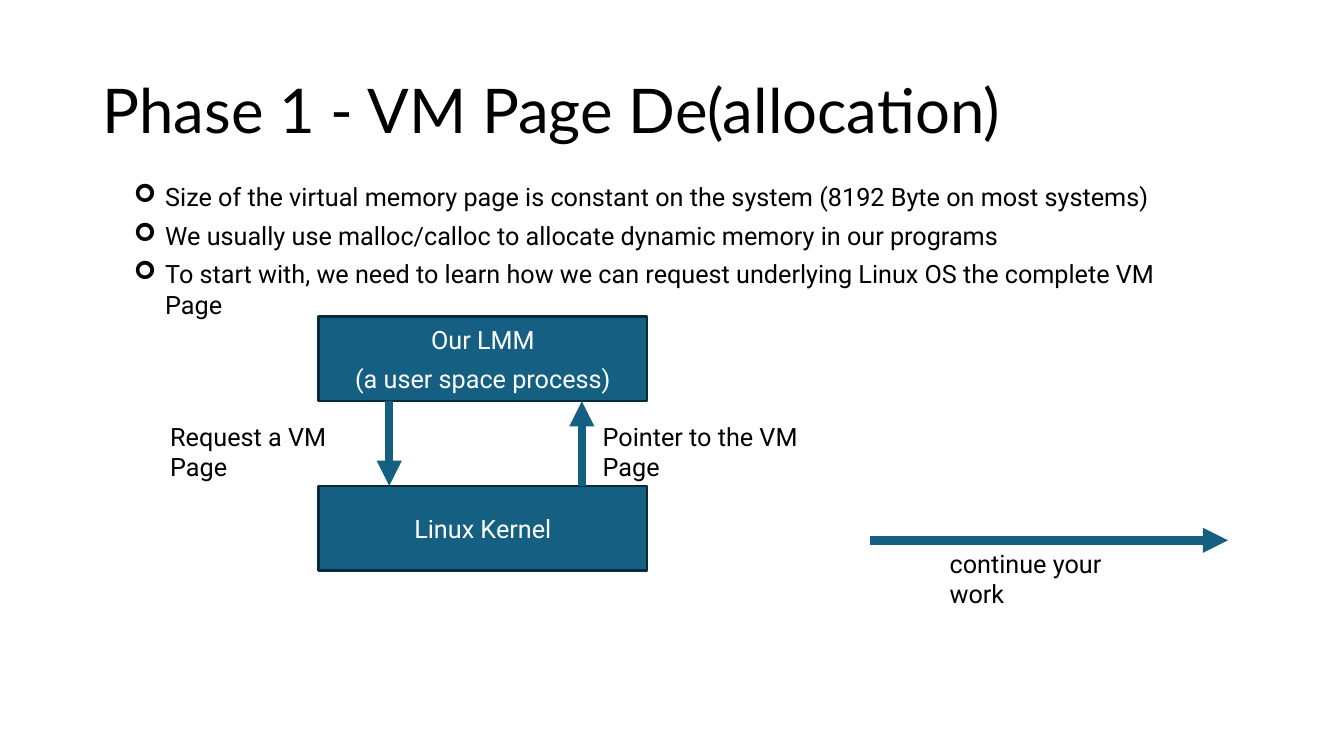
from lxml import etree
from pptx import Presentation
from pptx import util as u
from pptx.dml.color import RGBColor
from pptx.enum import shapes, text
from pptx.oxml.ns import qn

WIDE, HIGH = u.Inches(13.33), u.Inches(7.5)
HUES = {"ink": "000000", "blue": "156082", "edge": "092A39", "pale": "FFFFFF"}

# Diagram grid, in percent of the slide: boxes and the gap are one row each
LEFT, SPAN = 23.7, 24.46
TOP, ROW = 41.87, 11.2
ROWS = [TOP + ROW * i for i in range(4)]
NOTE_TOP, NOTE_HIGH = 55.07, 5.33

POINTS = [
    "Size of the virtual memory page is constant on the system (8192 Byte on most systems)",
    "We usually use malloc/calloc to allocate dynamic memory in our programs",
    "To start with, we need to learn how we can request underlying Linux OS the complete VM Page",
]


def hue(name):
    return RGBColor.from_string(HUES[name])


def place(x, y, w, h):
    """Turn percent of the slide into lengths."""
    return [int(side * part / 100)
            for side, part in zip((WIDE, HIGH, WIDE, HIGH), (x, y, w, h))]


def mark(para):
    """Give a paragraph an arrow bullet with a hanging indent."""
    props = para._p.get_or_add_pPr()
    props.set("marL", str(u.Inches(0.31)))
    props.set("indent", str(-u.Inches(0.31)))
    etree.SubElement(props, qn("a:buFont")).set("typeface", "Wingdings")
    etree.SubElement(props, qn("a:buChar")).set("char", "➢")


def write(frame, lines, size=18, face="Roboto", tint="ink", after=6):
    frame.word_wrap = True
    frame.text = "\n".join(lines)
    for para in frame.paragraphs:
        para.space_after = u.Pt(after)
        for run in para.runs:
            run.font.size = u.Pt(size)
            run.font.name = face
            run.font.color.rgb = hue(tint)


def note(slide, spot, lines, **look):
    frame = slide.shapes.add_textbox(*place(*spot)).text_frame
    write(frame, lines, **look)
    return frame


def label(slide, x, y, w, line, after=6):
    frame = note(slide, (x, y, w, NOTE_HIGH), [line], after=after)
    frame.auto_size = text.MSO_AUTO_SIZE.SHAPE_TO_FIT_TEXT


def box(slide, y, lines):
    rect = slide.shapes.add_shape(shapes.MSO_SHAPE.RECTANGLE,
                                  *place(LEFT, y, SPAN, ROW))
    rect.shadow.inherit = False
    rect.fill.solid()
    rect.fill.fore_color.rgb = hue("blue")
    rect.line.color.rgb = hue("edge")
    rect.line.width = u.Pt(1.5)
    write(rect.text_frame, lines, tint="pale")
    rect.text_frame.vertical_anchor = text.MSO_ANCHOR.MIDDLE
    for para in rect.text_frame.paragraphs:
        para.alignment = text.PP_ALIGN.CENTER


def arrow(slide, *ends):
    line = slide.shapes.add_connector(shapes.MSO_CONNECTOR.STRAIGHT, *place(*ends))
    line.line.color.rgb = hue("blue")
    line.line.width = u.Pt(6)
    tip = etree.SubElement(line.line._get_or_add_ln(), qn("a:tailEnd"))
    tip.set("type", "triangle")
    etree.SubElement(line._element.spPr, qn("a:effectLst"))


def main():
    deck = Presentation()
    deck.slide_width, deck.slide_height = WIDE, HIGH
    slide = deck.slides.add_slide(deck.slide_layouts[6])

    # Title
    title = note(slide, (6.9, 5.33, 86.27, 19.33),
                 ["Phase 1 - VM Page De(allocation)"], size=44, face="Lato", after=0)
    title.vertical_anchor = text.MSO_ANCHOR.MIDDLE
    title.paragraphs[0].line_spacing = 0.9

    # Bullets
    body = note(slide, (9.23, 23.33, 81.55, 62.8), POINTS)
    for para in body.paragraphs:
        mark(para)

    # Process and kernel, with the calls between them
    box(slide, ROWS[0], ["Our LMM", "(a user space process)"])
    box(slide, ROWS[2], ["Linux Kernel"])
    arrow(slide, 28.96, ROWS[1], 28.96, ROWS[2])
    arrow(slide, 43.29, ROWS[2], 43.29, ROWS[1])
    label(slide, 11.93, NOTE_TOP, 17.03, "Request a VM Page")
    label(slide, 44.11, NOTE_TOP, 19.8, "Pointer to the VM Page")

    # Next step
    arrow(slide, 64.74, 71.47, 91.37, 71.47)
    label(slide, 69.92, 71.87, 17.03, "continue your work", after=0)

    deck.save("out.pptx")


if __name__ == "__main__":
    main()
